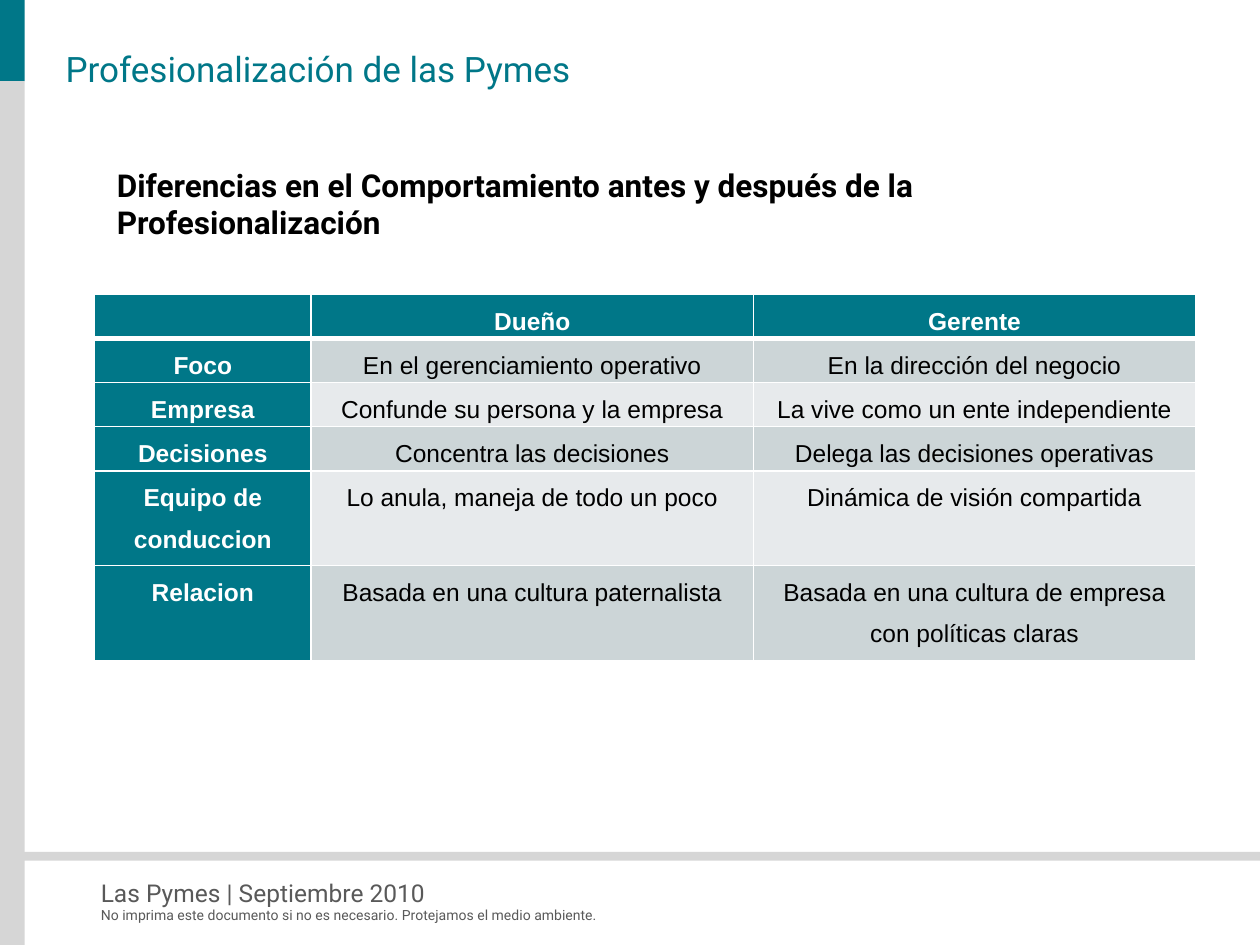
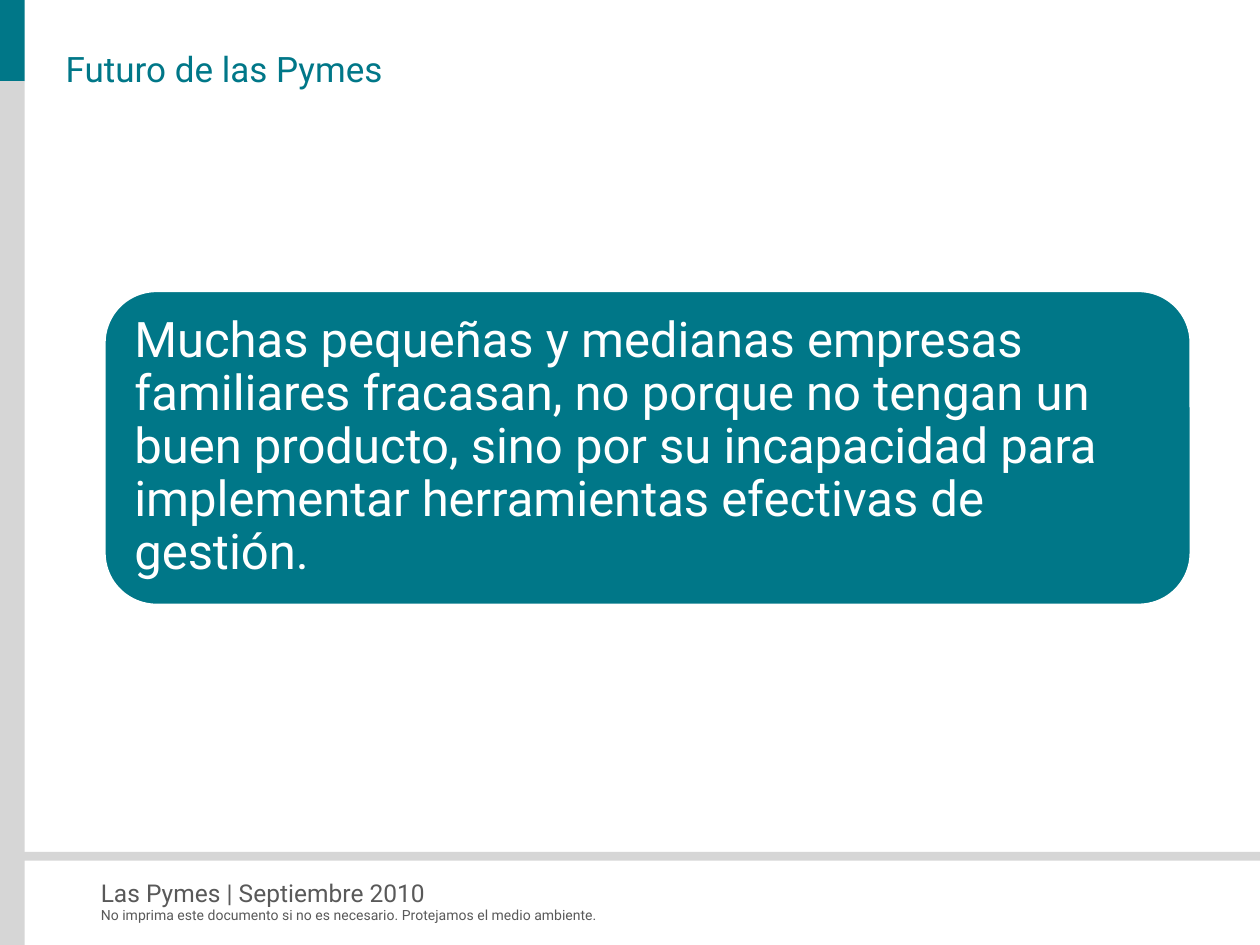
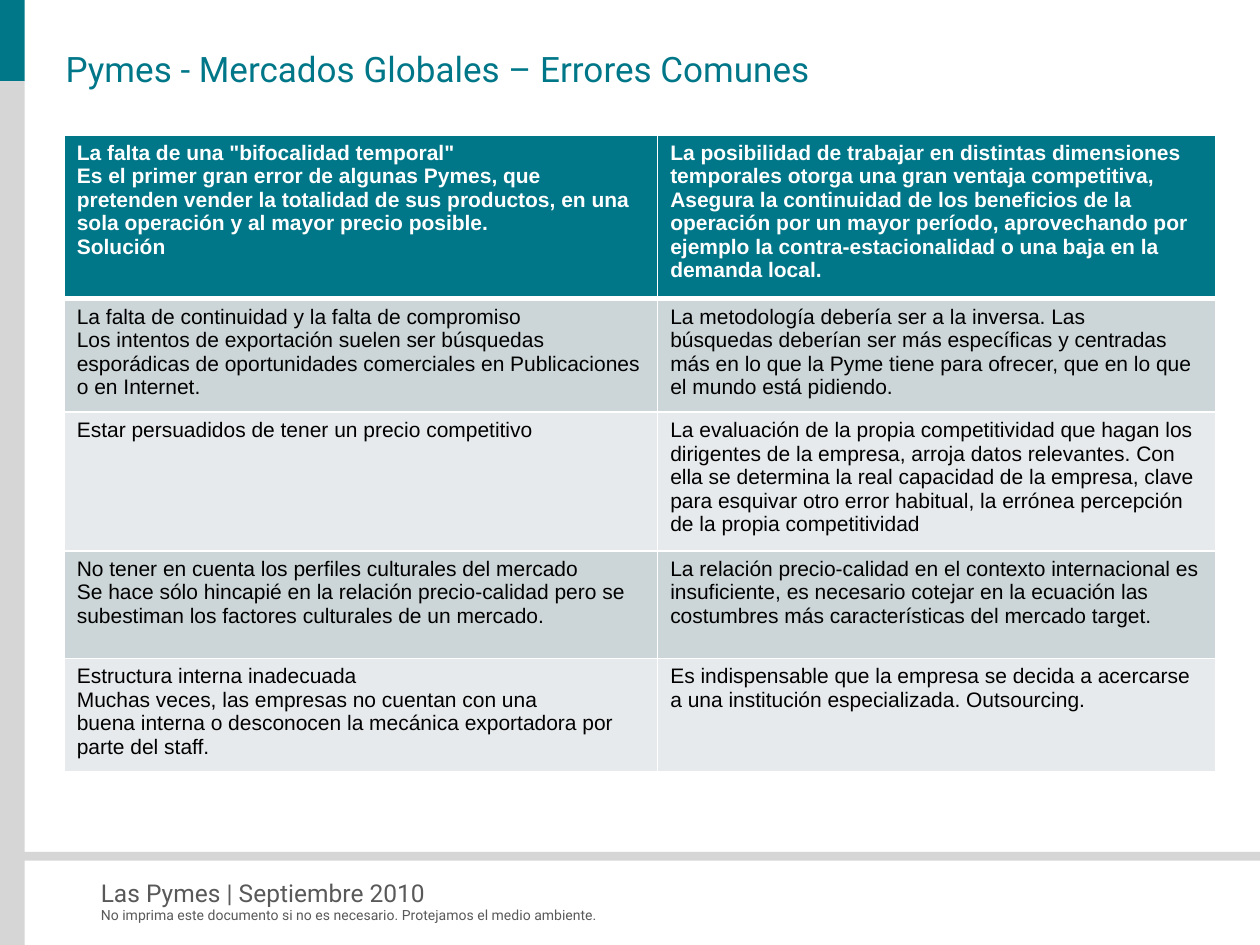
from dataclasses import dataclass
from typing import Optional

from lxml.etree import SubElement
from pptx import Presentation
from pptx.dml.color import RGBColor
from pptx.enum.shapes import MSO_SHAPE
from pptx.enum.text import MSO_ANCHOR, MSO_AUTO_SIZE, PP_ALIGN
from pptx.oxml.ns import qn
from pptx.util import Inches, Length, Pt

TEAL = RGBColor(0x00, 0x77, 0x88)
GREY = RGBColor(0xD6, 0xD6, 0xD6)
DARK_GREY = RGBColor(0x59, 0x59, 0x59)
ODD_ROW = RGBColor(0xCC, 0xD5, 0xD7)
EVEN_ROW = RGBColor(0xE7, 0xEA, 0xEC)
BLACK = RGBColor(0x00, 0x00, 0x00)
WHITE = RGBColor(0xFF, 0xFF, 0xFF)

SLIDE_WIDTH, SLIDE_HEIGHT = Inches(10), Inches(7.5)
GRID_COLUMNS, GRID_ROWS = 100, 75
TITLE_ONLY = 5
NBSP = chr(160)


def columns(count: float) -> Length:
    return Length(round(SLIDE_WIDTH * count / GRID_COLUMNS))


def rows(count: float) -> Length:
    return Length(round(SLIDE_HEIGHT * count / GRID_ROWS))


@dataclass(frozen=True)
class Area:
    left: float
    top: float
    width: float
    height: float

    def place(self) -> tuple[Length, Length, Length, Length]:
        return columns(self.left), rows(self.top), columns(self.width), rows(self.height)


@dataclass(frozen=True)
class TextStyle:
    size: float
    color: RGBColor
    face: str = "Roboto"
    bold: bool = False
    align: PP_ALIGN = PP_ALIGN.LEFT
    line_spacing: Optional[float] = None
    before: float = 0
    after: float = 0


@dataclass(frozen=True)
class Band:
    area: Area
    color: RGBColor


@dataclass(frozen=True)
class Caption:
    area: Area
    text: str
    style: TextStyle


@dataclass(frozen=True)
class Comparison:
    left: float
    top: float
    widths: tuple[float, ...]
    heights: tuple[float, ...]
    texts: tuple[tuple[str, ...], ...]
    size: float
    margins: tuple[float, float]
    label_column: bool = False
    align: PP_ALIGN = PP_ALIGN.LEFT
    line_spacing: Optional[float] = None
    before: float = 0
    after: float = 0


TITLE_AREA = Area(5.2, 3.8, 92.4, 3.2)
TITLE_STYLE = TextStyle(20, TEAL)
BODY_AREA = Area(8.3, 9.1, 86.3, 52.8)

BANDS = (
    Band(Area(0, 0, 1.95, 6.45), TEAL),
    Band(Area(0, 6.45, 1.95, 68.55), GREY),
    Band(Area(1.7, 67.62, 98.3, 0.7), GREY),
)
FOOTERS = (
    Caption(Area(8, 71.95, 66.5, 1.3),
            "No imprima este documento si no es necesario. Protejamos el medio ambiente.",
            TextStyle(8, DARK_GREY)),
    Caption(Area(8, 69.7, 71.8, 2.4), "Las Pymes | Septiembre 2010", TextStyle(14, DARK_GREY)),
)

SUBTITLE = Caption(
    BODY_AREA,
    "Diferencias en el Comportamiento antes y después de la Profesionalización",
    TextStyle(18, BLACK, bold=True),
)
SUBTITLE_DROP = 4.05

MESSAGE = Caption(
    Area(8.25, 23.05, BODY_AREA.width, 25),
    "Muchas pequeñas y medianas empresas familiares fracasan, no porque no tengan un buen "
    "producto, sino por su incapacidad para implementar herramientas efectivas de gestión.",
    TextStyle(28, WHITE, line_spacing=0.9),
)

OWNER_VS_MANAGER = Comparison(
    left=7.5, top=23.35, widths=(17.2, 35.1, 35.1), heights=(3.5,) * 4 + (7.53,) * 2,
    size=14, margins=(0.7, 0), label_column=True,
    align=PP_ALIGN.CENTER, line_spacing=1.5, before=6, after=2,
    texts=(
        ("", "Dueño", "Gerente"),
        ("Foco", "En el gerenciamiento operativo", "En la dirección del negocio"),
        ("Empresa", "Confunde su persona y la empresa", "La vive como un ente independiente"),
        ("Decisiones", "Concentra las decisiones", "Delega las decisiones operativas"),
        ("Equipo de conduccion", "Lo anula, maneja de todo un poco",
         "Dinámica de visión compartida"),
        ("Relacion", "Basada en una cultura paternalista",
         "Basada en una cultura de empresa con políticas claras"),
    ),
)

COMMON_ERRORS = Comparison(
    left=5.1, top=10.7, widths=(47.1, 44.3), heights=(12.23, 8.47, 10.36, 8.55, 8.5),
    size=12, margins=(1, 0.5),
    texts=(
        ("La falta de una \"bifocalidad temporal\"\vEs el primer gran error de algunas Pymes, "
         "que pretenden vender la totalidad de sus productos, en una sola operación y al mayor "
         "precio posible.\nSolución",
         "La posibilidad de trabajar en distintas dimensiones temporales otorga una gran ventaja "
         "competitiva, Asegura la continuidad de los beneficios de la operación por un mayor "
         "período, aprovechando por ejemplo la contra-estacionalidad o una baja en la demanda "
         "local."),
        ("La falta de continuidad y la falta de compromiso\vLos intentos de exportación suelen "
         "ser búsquedas esporádicas de oportunidades comerciales en Publicaciones o en Internet.",
         f"La metodología debería ser a la inversa. Las búsquedas{NBSP}deberían ser más "
         "específicas y centradas más en lo que la Pyme tiene para ofrecer, que en lo que el "
         "mundo está pidiendo."),
        ("Estar persuadidos de tener un precio competitivo",
         "La evaluación de la propia competitividad que hagan los dirigentes de la empresa, "
         "arroja datos relevantes. Con ella se determina la real capacidad de la empresa, clave "
         "para esquivar otro error habitual, la errónea percepción de la propia competitividad"),
        ("No tener en cuenta los perfiles culturales del mercado\vSe hace sólo hincapié en la "
         "relación precio-calidad pero se subestiman los factores culturales de un mercado.",
         "La relación precio-calidad en el contexto internacional es insuficiente, es necesario "
         "cotejar en la ecuación las costumbres más características del mercado target."),
        ("Estructura interna inadecuada\vMuchas veces, las empresas no cuentan con una "
         f"buena{NBSP}interna{NBSP}o{NBSP}desconocen la mecánica exportadora{NBSP}por parte "
         "del staff.",
         "Es indispensable que la empresa se decida a acercarse a una institución "
         "especializada. Outsourcing."),
    ),
)


def write(frame, text: str, style: TextStyle) -> None:
    frame.text = text
    for paragraph in frame.paragraphs:
        paragraph.alignment = style.align
        paragraph.space_before = Pt(style.before)
        paragraph.space_after = Pt(style.after)
        if style.line_spacing:
            paragraph.line_spacing = style.line_spacing
        paragraph.font.name = style.face
        paragraph.font.size = Pt(style.size)
        paragraph.font.bold = style.bold
        paragraph.font.color.rgb = style.color


def set_margins(frame, margin: Length) -> None:
    frame.margin_left = frame.margin_right = margin
    frame.margin_top = frame.margin_bottom = margin


def add_block(slide, area: Area, color: RGBColor, kind=MSO_SHAPE.RECTANGLE):
    block = slide.shapes.add_shape(kind, *area.place())
    block.shadow.inherit = False
    block.fill.solid()
    block.fill.fore_color.rgb = color
    block.line.fill.background()
    return block


def add_caption(slide, caption: Caption):
    frame = slide.shapes.add_textbox(*caption.area.place()).text_frame
    frame.word_wrap = True
    write(frame, caption.text, caption.style)
    return frame


def add_page(deck, title: str):
    slide = deck.slides.add_slide(deck.slide_layouts[TITLE_ONLY])
    heading = slide.shapes.title
    heading.left, heading.top, heading.width, heading.height = TITLE_AREA.place()
    frame = heading.text_frame
    write(frame, title, TITLE_STYLE)
    set_margins(frame, 0)
    frame.vertical_anchor = MSO_ANCHOR.MIDDLE
    frame.auto_size = MSO_AUTO_SIZE.NONE
    for band in BANDS:
        add_block(slide, band.area, band.color)
    for footer in FOOTERS:
        set_margins(add_caption(slide, footer), 0)
    return slide


def set_borders(cell, top: float, bottom: float) -> None:
    properties = cell._tc.get_or_add_tcPr()
    for side, weight in (("L", 1), ("R", 1), ("T", top), ("B", bottom)):
        line = SubElement(properties, qn(f"a:ln{side}"), w=str(Pt(weight)))
        SubElement(SubElement(line, qn("a:solidFill")), qn("a:srgbClr"), val=str(WHITE))


def add_comparison(slide, content: Comparison) -> None:
    area = Area(content.left, content.top, sum(content.widths), sum(content.heights))
    table = slide.shapes.add_table(
        len(content.heights), len(content.widths), *area.place()).table
    for column, width in zip(table.columns, content.widths):
        column.width = columns(width)
    for row, height in zip(table.rows, content.heights):
        row.height = rows(height)
    side_margin, end_margin = content.margins
    for r, texts in enumerate(content.texts):
        for c, text in enumerate(texts):
            cell = table.cell(r, c)
            strong = r == 0 or (content.label_column and c == 0)
            cell.margin_left = cell.margin_right = columns(side_margin)
            cell.margin_top = cell.margin_bottom = rows(end_margin)
            set_borders(cell, top=3 if r == 1 else 1, bottom=3 if r == 0 else 1)
            cell.fill.solid()
            cell.fill.fore_color.rgb = TEAL if strong else ODD_ROW if r % 2 else EVEN_ROW
            write(cell.text_frame, text, TextStyle(
                content.size, WHITE if strong else BLACK, "Arial", strong, content.align,
                content.line_spacing, content.before, content.after))


def add_message(slide, message: Caption) -> None:
    panel = add_block(slide, message.area, TEAL, MSO_SHAPE.ROUNDED_RECTANGLE)
    panel.line.color.rgb = WHITE
    panel.line.width = Pt(2)
    frame = panel.text_frame
    frame.word_wrap = True
    frame.vertical_anchor = MSO_ANCHOR.MIDDLE
    set_margins(frame, columns(1.2))
    write(frame, message.text, message.style)


def main() -> None:
    deck = Presentation()
    deck.slide_width, deck.slide_height = SLIDE_WIDTH, SLIDE_HEIGHT

    professionalization = add_page(deck, "Profesionalización de las Pymes")
    add_caption(professionalization, SUBTITLE).margin_top = rows(SUBTITLE_DROP)
    add_comparison(professionalization, OWNER_VS_MANAGER)

    add_message(add_page(deck, "Futuro de las Pymes"), MESSAGE)

    add_comparison(add_page(deck, "Pymes - Mercados Globales – Errores Comunes"), COMMON_ERRORS)

    deck.save("out.pptx")


if __name__ == "__main__":
    main()
